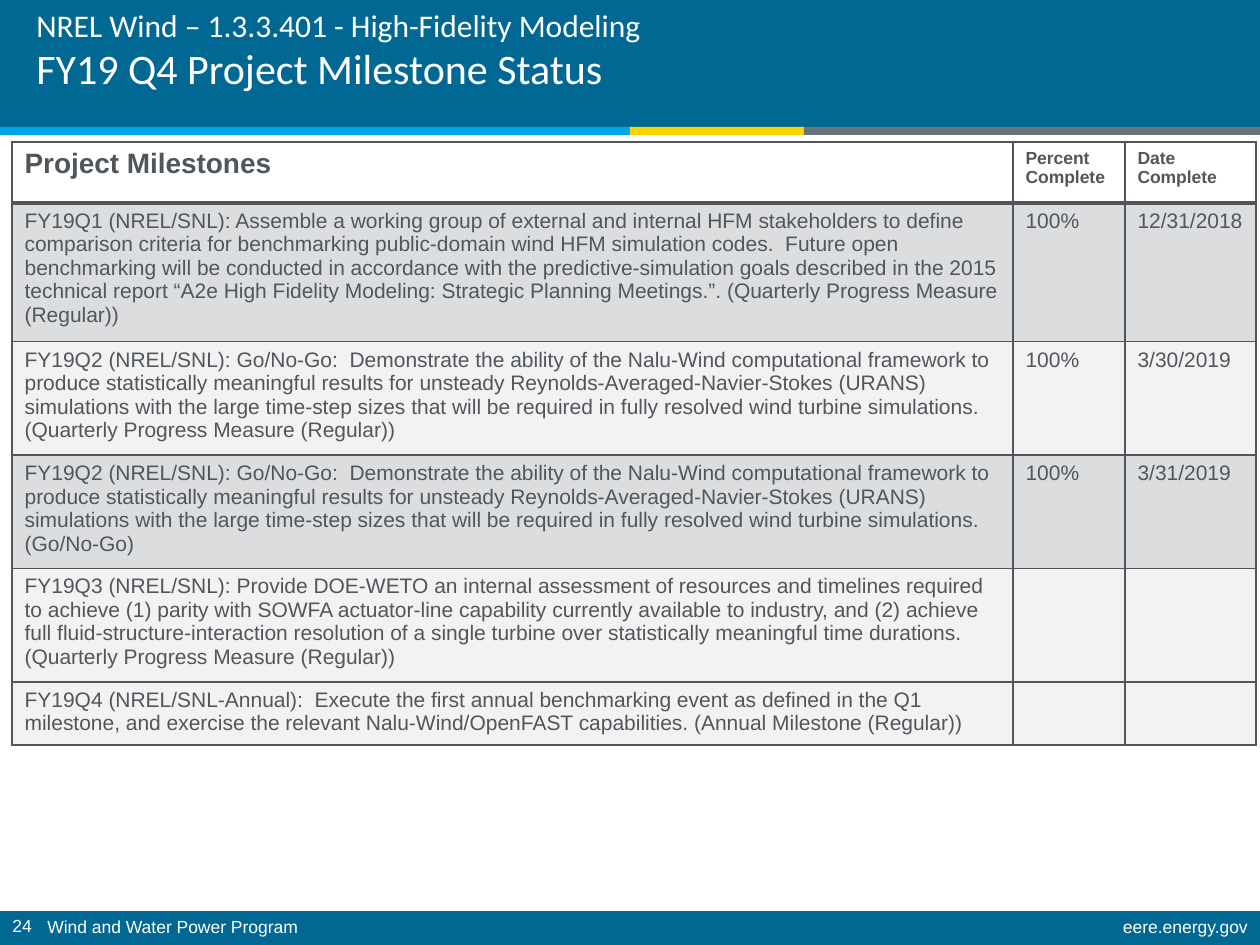
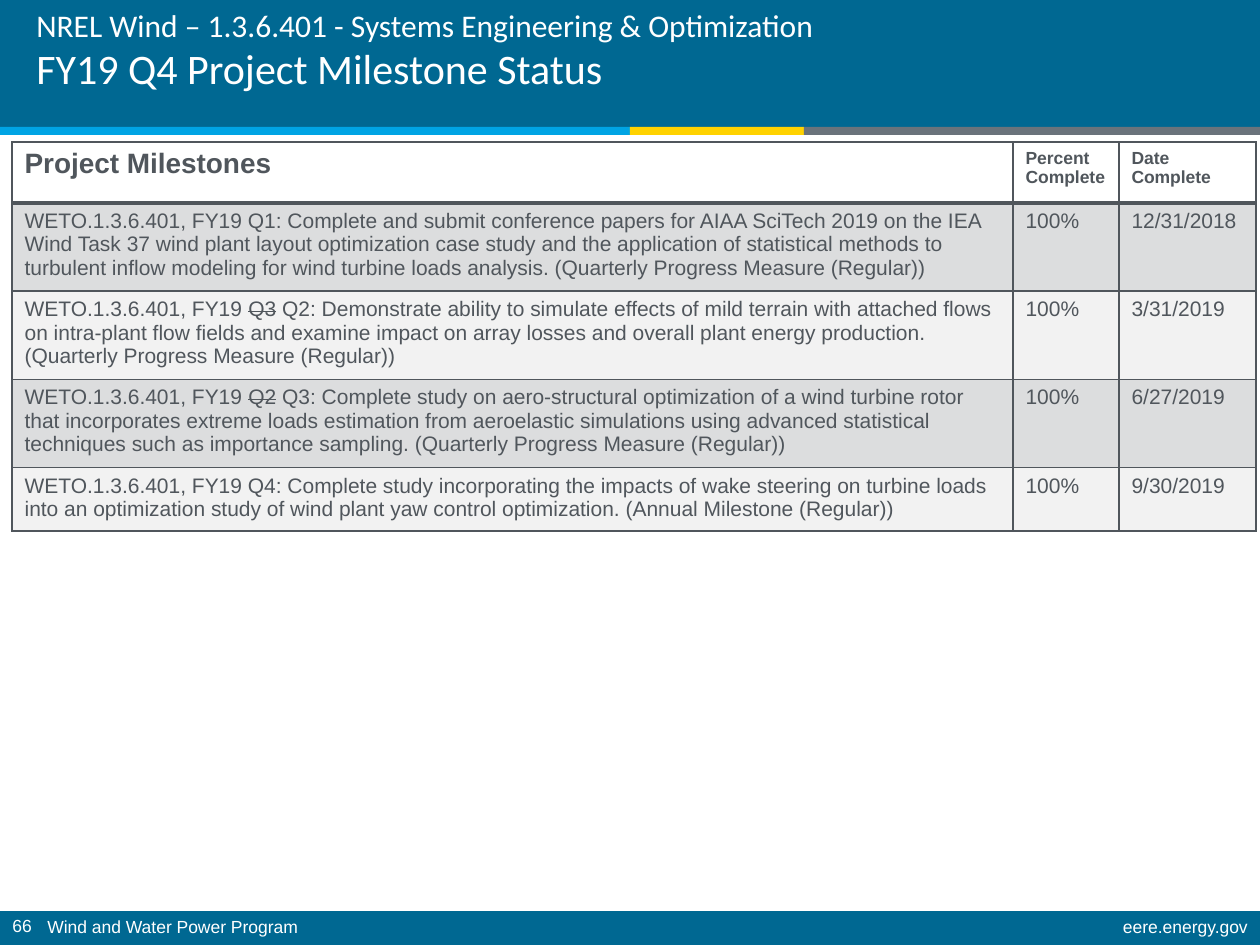
from lxml import etree
from pptx import Presentation
from pptx import util as u
from pptx.dml.color import RGBColor
from pptx.enum import shapes, text
from pptx.oxml import ns

# Each milestone: wording (~struck out~), lines it takes, percent, date, shaded
PROJECTS = [
    {
        "project": "NREL Wind – 1.3.3.401 - High-Fidelity Modeling",
        "page": "24",
        "columns": (1001, 112, 131),
        "milestones": [
            ("FY19Q1 (NREL/SNL): Assemble a working group of external and internal HFM "
             "stakeholders to define comparison criteria for benchmarking public-domain wind "
             "HFM simulation codes.  Future open benchmarking will be conducted in accordance "
             "with the predictive-simulation goals described in the 2015 technical report "
             "“A2e High Fidelity Modeling: Strategic Planning Meetings.”. "
             "(Quarterly Progress Measure (Regular))", 5, "100%", "12/31/2018", True),
            ("FY19Q2 (NREL/SNL): Go/No-Go:  Demonstrate the ability of the Nalu-Wind "
             "computational framework to produce statistically meaningful results for unsteady "
             "Reynolds-Averaged-Navier-Stokes (URANS) simulations with the large time-step "
             "sizes that will be required in fully resolved wind turbine simulations. "
             "(Quarterly Progress Measure (Regular))", 4, "100%", "3/30/2019", False),
            ("FY19Q2 (NREL/SNL): Go/No-Go:  Demonstrate the ability of the Nalu-Wind "
             "computational framework to produce statistically meaningful results for unsteady "
             "Reynolds-Averaged-Navier-Stokes (URANS) simulations with the large time-step "
             "sizes that will be required in fully resolved wind turbine simulations. "
             "(Go/No-Go)", 4, "100%", "3/31/2019", True),
            ("FY19Q3 (NREL/SNL): Provide DOE-WETO an internal assessment of resources and "
             "timelines required to achieve (1) parity with SOWFA actuator-line capability "
             "currently available to industry, and (2) achieve full fluid-structure-interaction "
             "resolution of a single turbine over statistically meaningful time durations. "
             "(Quarterly Progress Measure (Regular))", 4, "", "", False),
            ("FY19Q4 (NREL/SNL-Annual):  Execute the first annual benchmarking event as defined "
             "in the Q1 milestone, and exercise the relevant Nalu-Wind/OpenFAST capabilities. "
             "(Annual Milestone (Regular))", 2, "", "", False),
        ],
    },
    {
        "project": "NREL Wind – 1.3.6.401 - Systems Engineering & Optimization",
        "page": "66",
        "columns": (1001, 106, 137),
        "milestones": [
            ("WETO.1.3.6.401, FY19 Q1: Complete and submit conference papers for AIAA SciTech "
             "2019 on the IEA Wind Task 37 wind plant layout optimization case study and the "
             "application of statistical methods to turbulent inflow modeling for wind turbine "
             "loads analysis. (Quarterly Progress Measure (Regular))",
             3, "100%", "12/31/2018", True),
            ("WETO.1.3.6.401, FY19 ~Q3~ Q2: Demonstrate ability to simulate effects of mild "
             "terrain with attached flows on intra-plant flow fields and examine impact on "
             "array losses and overall plant energy production. "
             "(Quarterly Progress Measure (Regular))", 3, "100%", "3/31/2019", False),
            ("WETO.1.3.6.401, FY19 ~Q2~ Q3: Complete study on aero-structural optimization of a "
             "wind turbine rotor that incorporates extreme loads estimation from aeroelastic "
             "simulations using advanced statistical techniques such as importance sampling. "
             "(Quarterly Progress Measure (Regular))", 3, "100%", "6/27/2019", True),
            ("WETO.1.3.6.401, FY19 Q4: Complete study incorporating the impacts of wake steering "
             "on turbine loads into an optimization study of wind plant yaw control "
             "optimization. (Annual Milestone (Regular))", 2, "100%", "9/30/2019", False),
        ],
    },
]
STATUS = "FY19 Q4 Project Milestone Status"
HEADINGS = [("Project Milestones", 16), ("Percent Complete", 10), ("Date Complete", 10)]
PROGRAM, WEBSITE = "Wind and Water Power Program", "eere.energy.gov"

BLUE = RGBColor(0x00, 0x68, 0x92)
SKY = RGBColor(0x00, 0xA4, 0xE4)
YELLOW = RGBColor(0xFF, 0xD2, 0x00)
GRAY = RGBColor(0x6A, 0x73, 0x7B)
SLATE = RGBColor(0x50, 0x56, 0x5C)
SILVER = RGBColor(0xBF, 0xBF, 0xBF)
WHITE = RGBColor(0xFF, 0xFF, 0xFF)

WIDTH, HEIGHT = 1260, 945
BANDS = [  # left, top, width, height, colour
    (0, 0, WIDTH, 127, BLUE),
    (0, 911, WIDTH, 34, BLUE),
    (0, 127, 630, 8, SKY),
    (630, 127, 174, 8, YELLOW),
    (804, 127, 456, 8, GRAY),
]
TABLE_LEFT, TABLE_TOP = 12, 142
HEADER_HEIGHT, LINE_HEIGHT, CELL_PADDING = 61, 23.5, 13


def px(length):
    return u.Emu(round(length * 914400 / 126))


def box(*lengths):
    return [px(length) for length in lengths]


def add_run(paragraph, wording, size, color, font="Arial", bold=False):
    run = paragraph.add_run()
    run.text = wording
    run.font.name, run.font.size, run.font.bold = font, u.Pt(size), bold
    run.font.color.rgb = color
    return run


def add_text_box(slide, left, top, width, height):
    """Return the frame and first paragraph of a new wrapping text box."""
    frame = slide.shapes.add_textbox(*box(left, top, width, height)).text_frame
    frame.word_wrap = True
    return frame, frame.paragraphs[0]


def add_frame(slide, page):
    """Draw the bands and the footer that every slide shares."""
    for left, top, width, height, color in BANDS:
        band = slide.shapes.add_shape(
            shapes.MSO_SHAPE.RECTANGLE, *box(left, top, width, height))
        band.shadow.inherit = False
        band.fill.solid()
        band.fill.fore_color.rgb = color
        band.line.fill.background()
    footers = [
        (PROGRAM, 35, 912, 1004, 0.9, text.PP_ALIGN.LEFT),
        (WEBSITE, 755, 912, 505, 0.9, text.PP_ALIGN.RIGHT),
        (page, 0, 909, 54, 1.0, text.PP_ALIGN.LEFT),
    ]
    for wording, left, top, width, spacing, align in footers:
        _, footer = add_text_box(slide, left, top, width, 33)
        footer.alignment, footer.line_spacing = align, spacing
        add_run(footer, wording, 10, WHITE)


def add_title(slide, project):
    frame, title = add_text_box(slide, 24, -15, 1119, 118)
    frame.vertical_anchor = text.MSO_ANCHOR.MIDDLE
    title.line_spacing = u.Pt(28)
    add_run(title, project, 18, WHITE, "Calibri")
    title.add_line_break()
    add_run(title, STATUS, 24, WHITE, "Calibri")


def fill_cell(cell, color):
    """Tint the cell with the colour at 20 % opacity."""
    cell.fill.solid()
    cell.fill.fore_color.rgb = color
    tint = cell._tc.tcPr.find(".//" + ns.qn("a:srgbClr"))
    etree.SubElement(tint, ns.qn("a:alpha"), val="20000")


def set_borders(cell, top=1, bottom=1):
    properties = cell._tc.get_or_add_tcPr()
    for place, (side, points) in enumerate(
            [("L", 1), ("R", 1), ("T", top), ("B", bottom)]):
        line = etree.Element(ns.qn(f"a:ln{side}"), w=str(u.Pt(points)))
        paint = etree.SubElement(line, ns.qn("a:solidFill"))
        etree.SubElement(paint, ns.qn("a:srgbClr"), val=str(SLATE))
        properties.insert(place, line)


def add_milestones(slide, columns, milestones):
    heights = [HEADER_HEIGHT] + [
        LINE_HEIGHT * lines + CELL_PADDING for _, lines, *_ in milestones]
    table = slide.shapes.add_table(
        len(heights), len(columns),
        *box(TABLE_LEFT, TABLE_TOP, sum(columns), sum(heights))).table
    table.first_row = table.horz_banding = False
    for column, width in zip(table.columns, columns):
        column.width = px(width)
    for row, height in zip(table.rows, heights):
        row.height = px(height)

    for cell, (heading, size) in zip(table.rows[0].cells, HEADINGS):
        add_run(cell.text_frame.paragraphs[0], heading, size, SLATE, bold=True)
        cell.fill.background()
        set_borders(cell, bottom=2)

    for index, (goal, _, percent, date, shaded) in enumerate(milestones, 1):
        for cell, wording in zip(table.rows[index].cells, (goal, percent, date)):
            for part, piece in enumerate(wording.split("~") if wording else []):
                run = add_run(cell.text_frame.paragraphs[0], piece, 12, SLATE)
                if part % 2:
                    run._r.get_or_add_rPr().set("strike", "sngStrike")
            fill_cell(cell, SLATE if shaded else SILVER)
            set_borders(cell, top=2 if index == 1 else 1)


def main():
    deck = Presentation()
    deck.slide_width, deck.slide_height = box(WIDTH, HEIGHT)
    for project in PROJECTS:
        slide = deck.slides.add_slide(deck.slide_layouts[6])
        add_frame(slide, project["page"])
        add_title(slide, project["project"])
        add_milestones(slide, project["columns"], project["milestones"])
    deck.save("out.pptx")


if __name__ == "__main__":
    main()
